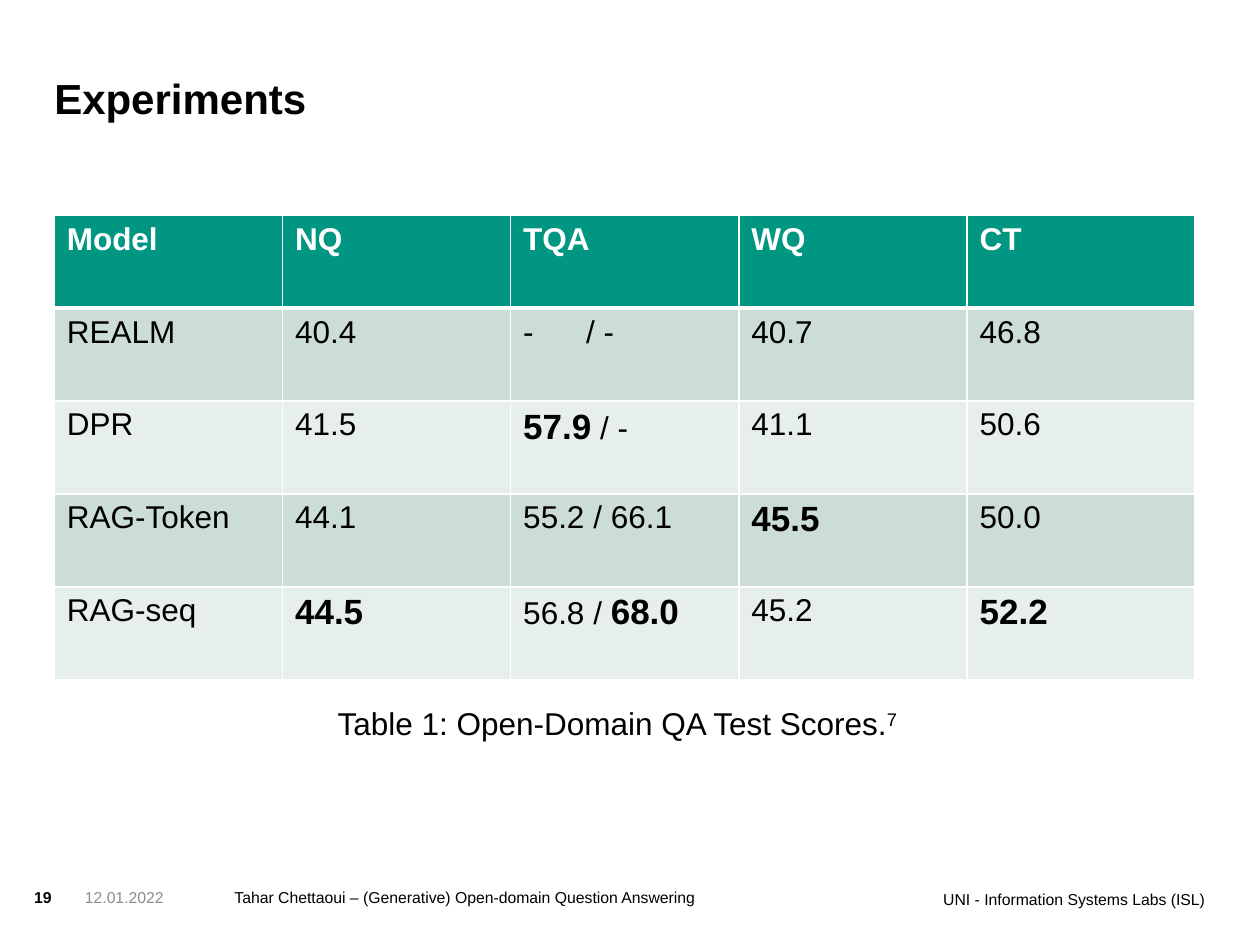
from dataclasses import dataclass

from lxml import etree
from pptx import Presentation
from pptx.dml.color import RGBColor
from pptx.enum import text
from pptx.oxml import ns
from pptx.util import Pt


@dataclass(frozen=True)
class Theme:
    font: str = "Arial"
    black: str = "000000"
    white: str = "FFFFFF"
    gray: str = "8C8C8C"
    header: str = "009682"
    bands: tuple = ("CCDDD8", "E7EFED")
    title: int = 24
    best: int = 20
    body: int = 18
    footer: int = 9


THEME = Theme()
HEADINGS = ["Model", "NQ", "TQA", "WQ", "CT"]
SCORES = [
    ["REALM", "40.4", "-\t/ -", "40.7", "46.8"],
    ["DPR", "41.5", "*57.9* / -", "41.1", "50.6"],
    ["RAG-Token", "44.1", "55.2 / 66.1", "*45.5*", "50.0"],
    ["RAG-seq", "*44.5*", "56.8 / *68.0*", "45.2", "*52.2*"],
]


def add_run(p, words, size, color=THEME.black, bold=False):
    r = p.add_run()
    r.text = words
    r.font.name = THEME.font
    r.font.size = Pt(size)
    r.font.bold = bold
    r.font.color.rgb = RGBColor.from_string(color)
    return r


def add_text(s, box, words, size, color=THEME.black, bold=False,
             align=text.PP_ALIGN.LEFT, anchor=text.MSO_ANCHOR.TOP):
    tf = s.shapes.add_textbox(*map(Pt, box)).text_frame
    tf.word_wrap = True
    tf.vertical_anchor = anchor
    tf.margin_left = tf.margin_right = tf.margin_top = tf.margin_bottom = 0
    p = tf.paragraphs[0]
    p.alignment = align
    add_run(p, words, size, color, bold)
    return p


def add_borders(cell, top, bottom):
    tc_pr = cell._tc.get_or_add_tcPr()
    for side, width in zip("LRTB", (1, 1, top, bottom)):
        ln = etree.SubElement(tc_pr, ns.qn(f"a:ln{side}"), w=str(Pt(width)))
        fill = etree.SubElement(ln, ns.qn("a:solidFill"))
        etree.SubElement(fill, ns.qn("a:srgbClr"), val=THEME.white)


def add_tab_stop(p, position):
    tabs = etree.SubElement(p._p.get_or_add_pPr(), ns.qn("a:tabLst"))
    etree.SubElement(tabs, ns.qn("a:tab"), pos=str(Pt(position)), algn="l")


def fill_cell(cell, words, row):
    is_header = row == 0
    add_borders(cell, 3 if row == 1 else 1, 3 if is_header else 1)
    cell.fill.solid()
    fill = THEME.header if is_header else THEME.bands[(row - 1) % 2]
    cell.fill.fore_color.rgb = RGBColor.from_string(fill)
    p = cell.text_frame.paragraphs[0]
    if "\t" in words:
        add_tab_stop(p, 36)
    for i, part in enumerate(words.split("*")):
        is_best = i % 2 == 1
        if part:
            add_run(p, part, THEME.best if is_best else THEME.body,
                    THEME.white if is_header else THEME.black,
                    is_header or is_best)


def add_scores(s, box):
    left, top, width, height = box
    rows = [HEADINGS] + SCORES
    table = s.shapes.add_table(len(rows), len(HEADINGS), *map(Pt, box)).table
    for column in table.columns:
        column.width = Pt(width / len(HEADINGS))
    for i, row in enumerate(rows):
        table.rows[i].height = Pt(height / len(rows))
        for j, words in enumerate(row):
            fill_cell(table.cell(i, j), words, i)


def add_caption(s, box):
    p = add_text(s, box, "Table 1: Open-Domain QA Test Scores.", THEME.body)
    r = add_run(p, "7", THEME.body)
    r.font._element.set("baseline", "30000")


def add_footer(s, box):
    left, top, width, height = box
    add_text(s, (left, top, 26, height), "19", THEME.footer, bold=True)
    add_text(s, (left + 29, top, 82, height), "12.01.2022", THEME.footer, THEME.gray)
    add_text(s, (left + 114.5, top, 335, height),
             "Tahar Chettaoui – (Generative) Open-domain Question Answering",
             THEME.footer)
    add_text(s, (left + width - 215, top + 1, 215, height),
             "UNI - Information Systems Labs (ISL)", THEME.footer,
             align=text.PP_ALIGN.RIGHT)


def main():
    prs = Presentation()
    prs.slide_width, prs.slide_height = Pt(720), Pt(540)
    s = prs.slides.add_slide(prs.slide_layouts[6])
    add_text(s, (31, 26, 544, 44), "Experiments", THEME.title, bold=True,
             anchor=text.MSO_ANCHOR.BOTTOM)
    add_scores(s, (31, 123, 652, 265.5))
    add_caption(s, (193, 402.5, 335, 28))
    add_footer(s, (19.5, 507.5, 669, 28))
    prs.save("out.pptx")


if __name__ == "__main__":
    main()
